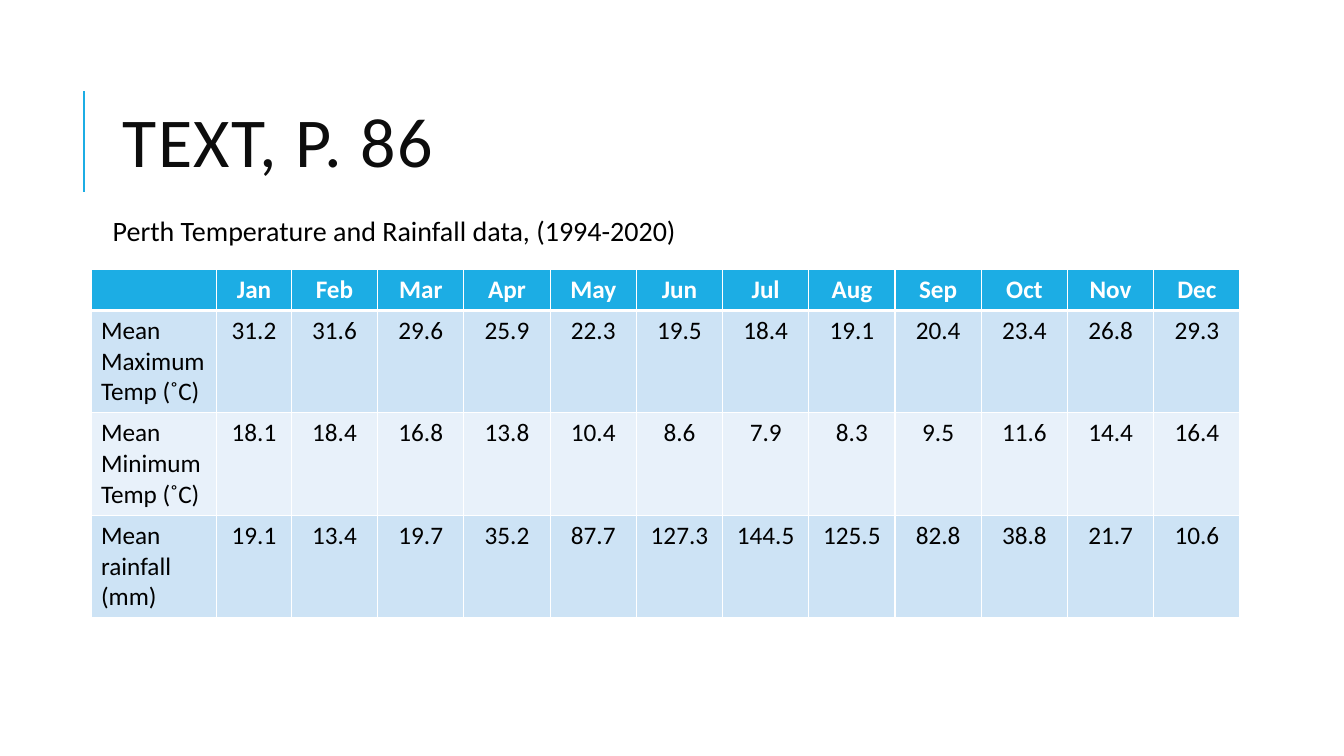
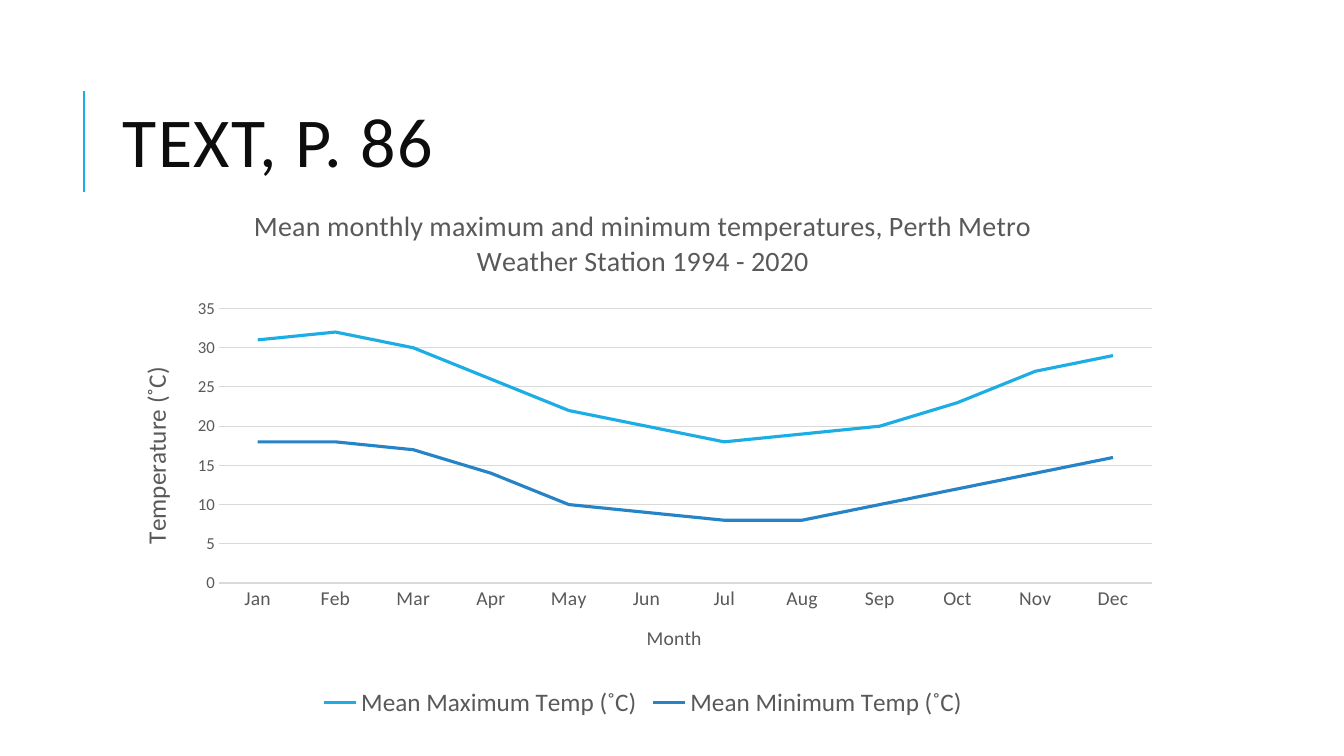
from dataclasses import dataclass

from lxml.etree import SubElement
from pptx import Presentation
from pptx.chart.data import CategoryChartData
from pptx.dml.color import RGBColor
from pptx.enum.chart import XL_CHART_TYPE, XL_LEGEND_POSITION, XL_TICK_MARK
from pptx.enum.shapes import MSO_CONNECTOR
from pptx.enum.text import MSO_ANCHOR, PP_ALIGN
from pptx.oxml.ns import qn
from pptx.util import Pt


@dataclass(frozen=True)
class Theme:
    font: str = "Calibri"
    accent: str = "1CADE4"
    accent_dark: str = "2683C6"
    band_dark: str = "CDE3F5"
    band_light: str = "E8F1FA"
    white: str = "FFFFFF"
    text: str = "000000"
    title: str = "0D0D0D"
    chart_text: str = "595959"
    grid: str = "D9D9D9"
    title_size: float = 50
    lead_size: float = 20
    body_size: float = 18
    month_size: float = 14
    scale_size: float = 12


MONTHS = ["Jan", "Feb", "Mar", "Apr", "May", "Jun",
          "Jul", "Aug", "Sep", "Oct", "Nov", "Dec"]
TEMPERATURES = {
    "Mean Maximum Temp (˚C)": [31.2, 31.6, 29.6, 25.9, 22.3, 19.5,
                               18.4, 19.1, 20.4, 23.4, 26.8, 29.3],
    "Mean Minimum Temp (˚C)": [18.1, 18.4, 16.8, 13.8, 10.4, 8.6,
                               7.9, 8.3, 9.5, 11.6, 14.4, 16.4],
}
RAINFALL = {
    "Mean rainfall (mm)": [19.1, 13.4, 19.7, 35.2, 87.7, 127.3,
                           144.5, 125.5, 82.8, 38.8, 21.7, 10.6],
}


def place(part, **fractions):
    """Fix a chart part at fractions of the chart's width and height."""
    layout = part.find(qn("c:layout"))
    if layout is None:
        layout = SubElement(part, qn("c:layout"))
        part.insert(0, layout)
    manual = SubElement(layout, qn("c:manualLayout"))
    settings = {"xMode": "edge", "yMode": "edge", **fractions}
    if "w" in fractions:
        settings = {"layoutTarget": "inner", **settings}
    for tag, value in settings.items():
        SubElement(manual, qn(f"c:{tag}")).set("val", str(value))


class Deck:
    def __init__(self, theme):
        self.theme = theme
        self.presentation = Presentation()
        self.presentation.slide_width = Pt(960)
        self.presentation.slide_height = Pt(540)
        self.slide = None

    def style(self, font, size, color, bold=False):
        font.name = self.theme.font
        font.size = Pt(size)
        font.bold = bold
        font.color.rgb = RGBColor.from_string(color)

    def stroke(self, line, color, width):
        line.color.rgb = RGBColor.from_string(color)
        line.width = Pt(width)

    def add_slide(self, title):
        blank = self.presentation.slide_layouts[6]
        self.slide = self.presentation.slides.add_slide(blank)
        self.title_rule()
        heading = self.text(title, 80.6, 46, 765.4, 118,
                            self.theme.title_size, self.theme.title)
        heading.line_spacing = 0.8
        heading.runs[0].font._element.set("spc", "100")

    def title_rule(self):
        rule = self.slide.shapes.add_connector(
            MSO_CONNECTOR.STRAIGHT, Pt(60), Pt(137), Pt(60), Pt(65))
        self.stroke(rule.line, self.theme.accent, 1.5)
        SubElement(rule.element.spPr, qn("a:effectLst"))

    def text(self, wording, left, top, width, height, size, color):
        box = self.slide.shapes.add_textbox(Pt(left), Pt(top), Pt(width), Pt(height))
        frame = box.text_frame
        frame.word_wrap = True
        frame.vertical_anchor = MSO_ANCHOR.MIDDLE
        paragraph = frame.paragraphs[0]
        paragraph.text = wording
        self.style(paragraph.font, size, color)
        return paragraph

    def cell_borders(self, cell, bottom):
        properties = cell._tc.get_or_add_tcPr()
        for side, width in zip("LRTB", (1, 1, 1, bottom)):
            border = SubElement(properties, qn(f"a:ln{side}"), w=str(Pt(width)))
            fill = SubElement(border, qn("a:solidFill"))
            SubElement(fill, qn("a:srgbClr"), val=self.theme.white)

    def table(self, rows, left, top, widths, heights):
        theme = self.theme
        table = self.slide.shapes.add_table(
            len(rows), len(widths), Pt(left), Pt(top),
            Pt(sum(widths)), Pt(sum(heights))).table
        for column, width in zip(table.columns, widths):
            column.width = Pt(width)
        for r, (values, height) in enumerate(zip(rows, heights)):
            table.rows[r].height = Pt(height)
            header = r == 0
            band = theme.band_dark if r % 2 else theme.band_light
            for c, value in enumerate(values):
                cell = table.cell(r, c)
                self.cell_borders(cell, 3 if header else 1)
                cell.fill.solid()
                cell.fill.fore_color.rgb = RGBColor.from_string(
                    theme.accent if header else band)
                paragraph = cell.text_frame.paragraphs[0]
                paragraph.text = str(value)
                paragraph.alignment = PP_ALIGN.CENTER if c else PP_ALIGN.LEFT
                self.style(paragraph.font, theme.body_size,
                           theme.white if header else theme.text, header)

    def chart_heading(self, heading, wording, size):
        paragraph = heading.text_frame.paragraphs[0]
        paragraph.text = wording
        self.style(paragraph.font, size, self.theme.chart_text)

    def axis(self, axis, wording, title_size, label_size, x, y):
        axis.major_tick_mark = axis.minor_tick_mark = XL_TICK_MARK.NONE
        self.style(axis.tick_labels.font, label_size, self.theme.chart_text)
        self.chart_heading(axis.axis_title, wording, title_size)
        place(axis.axis_title.element, x=x, y=y)

    def line_chart(self, title, categories, series, left, top, width, height):
        theme = self.theme
        data = CategoryChartData()
        data.categories = categories
        for name, values in series.items():
            data.add_series(name, [round(value) for value in values])
        chart = self.slide.shapes.add_chart(
            XL_CHART_TYPE.LINE, Pt(left), Pt(top), Pt(width), Pt(height), data).chart
        self.style(chart.font, theme.scale_size, theme.chart_text)
        chart.has_title = True
        self.chart_heading(chart.chart_title, title, theme.lead_size)

        chart.has_legend = True
        chart.legend.position = XL_LEGEND_POSITION.BOTTOM
        chart.legend.include_in_layout = False
        self.style(chart.legend.font, theme.body_size, theme.chart_text)

        months, scale = chart.category_axis, chart.value_axis
        self.axis(months, "Month", theme.month_size, theme.month_size, 0.5, 0.81)
        self.stroke(months.format.line, theme.grid, 0.75)
        self.axis(scale, "Temperature (˚C)", theme.body_size, theme.scale_size, 0.02, 0.33)
        rotation = scale.axis_title.text_frame._txBody.bodyPr
        rotation.set("rot", "-5400000")
        rotation.set("vert", "horz")
        scale.minimum_scale, scale.maximum_scale, scale.major_unit = 0, 35, 5
        scale.format.line.fill.background()
        self.stroke(scale.major_gridlines.format.line, theme.grid, 0.75)

        plot = chart.plots[0]
        plot.vary_by_categories = False
        for curve, color in zip(plot.series, (theme.accent, theme.accent_dark)):
            curve.smooth = False
            self.stroke(curve.format.line, color, 2.25)
        plot_area = chart.element.find(qn("c:chart")).find(qn("c:plotArea"))
        place(plot_area, x=0.1, y=0.23, w=0.88, h=0.51)


def main():
    theme = Theme()
    deck = Deck(theme)
    page_title = "TEXT, P. 86"

    deck.add_slide(page_title)
    measures = {**TEMPERATURES, **RAINFALL}
    rows = [["", *MONTHS]] + [[name, *values] for name, values in measures.items()]
    deck.table(rows, 65, 192.5, [89.8, 53.4] + [61.6] * 11, [29.2] + [73.2] * 3)
    deck.text("Perth Temperature and Rainfall data, (1994-2020)",
              73.4, 148.5, 683, 31.5, theme.lead_size, theme.text)

    deck.add_slide(page_title)
    deck.line_chart(
        "Mean monthly maximum and minimum temperatures, "
        "Perth Metro Weather Station 1994 - 2020",
        MONTHS, TEMPERATURES, 80.6, 132, 757.4, 384.5)

    deck.presentation.save("out.pptx")


if __name__ == "__main__":
    main()
